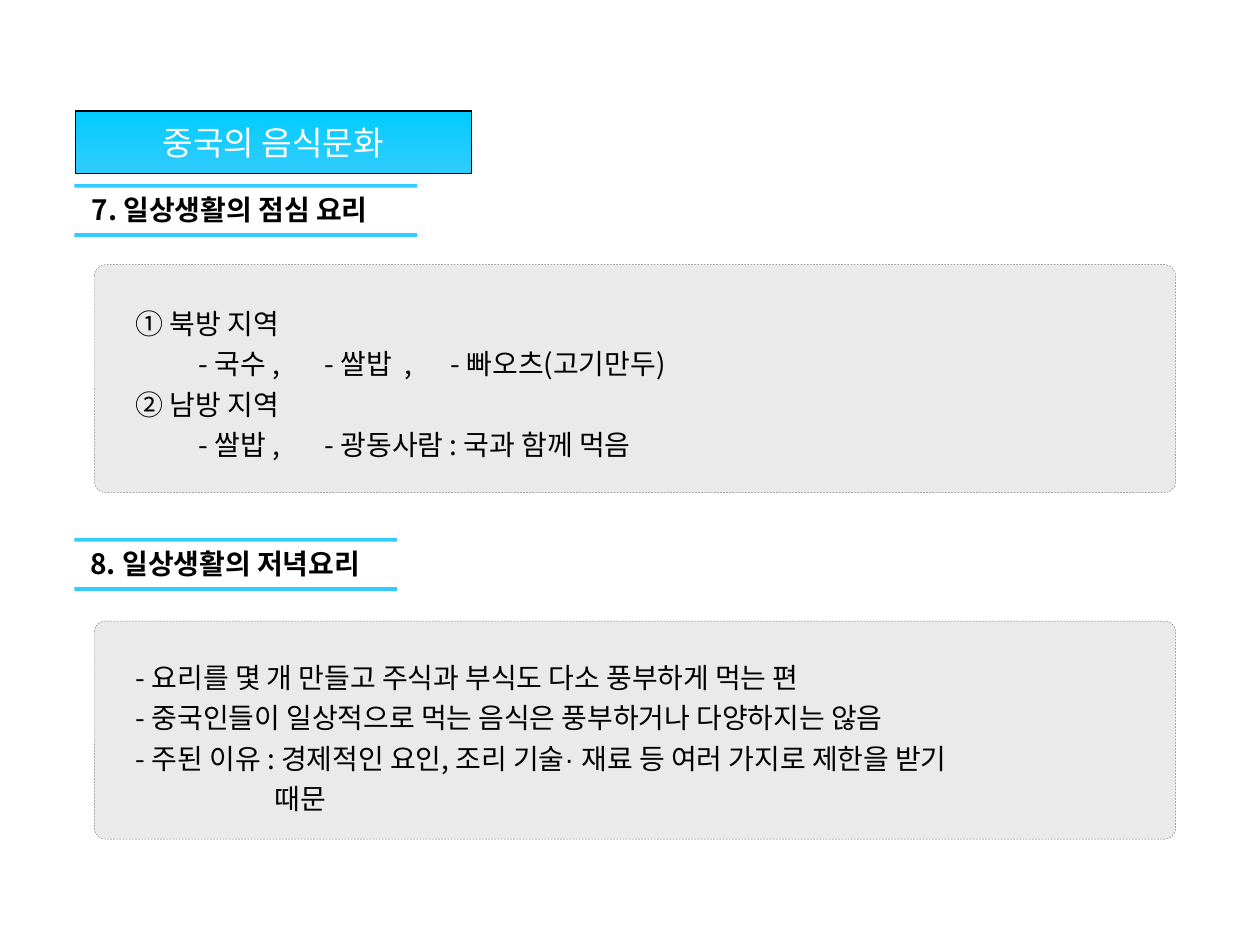
"""Build a slide on everyday lunch and dinner dishes in Chinese food culture."""
from dataclasses import dataclass

import pptx
import pptx.dml.color
import pptx.enum.dml
import pptx.enum.shapes
import pptx.enum.text
import pptx.oxml.ns
import pptx.util
from lxml import etree

SLIDE_W, SLIDE_H = pptx.util.Inches(10), pptx.util.Inches(7.5)
COLS, ROWS = 100, 75
RULE_GAP, RULE_H = 3.9, 0.3
ALIGN = pptx.enum.text.PP_ALIGN
SHAPE = pptx.enum.shapes.MSO_SHAPE


@dataclass(frozen=True)
class Theme:
    font: str = "Noto Sans CJK KR"
    dot_font: str = "Arial"
    text: str = "000000"
    title_text: str = "FFFFFF"
    accent: str = "33CCFF"
    title_top: str = "00CCFF"
    panel: str = "EAEAEA"
    panel_line: str = "808080"
    title_size: float = 19
    body_size: float = 16


@dataclass(frozen=True)
class Box:
    col: float
    row: float
    cols: float
    rows: float

    def emu(self) -> tuple[int, int, int, int]:
        w, h = SLIDE_W / COLS, SLIDE_H / ROWS
        return (round(self.col * w), round(self.row * h),
                round(self.cols * w), round(self.rows * h))


@dataclass(frozen=True)
class Line:
    texts: tuple[str, ...]
    hang: float = 0.29
    tabs: tuple[float, ...] = ()


@dataclass(frozen=True)
class Section:
    heading: str
    heading_box: Box
    rule_row: float
    rule_cols: float
    panel: Box
    body: Box
    align: ALIGN
    lines: tuple[Line, ...]


THEME = Theme()
ITEM_TABS = (0.15, 1.11, 2.13)
SECTIONS = (
    Section("7. 일상생활의 점심 요리", Box(6.3, 14.8, 25.7, 3.7), 14.6, 27.2,
            Box(7.5, 21, 85.8, 18.1), Box(9.8, 23.3, 80.3, 13.8), ALIGN.JUSTIFY,
            (Line(("① 북방 지역",)),
             Line(("\t- 국수 ,\t- 쌀밥  ,\t- 빠오츠(고기만두)",), 0, ITEM_TABS),
             Line(("② 남방 지역",)),
             Line(("\t- 쌀밥 ,\t- 광동사람 : 국과 함께 먹음",), 0, ITEM_TABS))),
    Section("8. 일상생활의 저녁요리", Box(6.2, 42.9, 25, 3.7), 42.7, 25.6,
            Box(7.5, 49.3, 85.8, 17.3), Box(9.8, 51.4, 80.3, 13.8), ALIGN.LEFT,
            (Line(("- 요리를 몇 개 만들고 주식과 부식도 다소 풍부하게 먹는 편",)),
             Line(("- 중국인들이 일상적으로 먹는 음식은 풍부하거나 다양하지는 않음",)),
             Line(("- 주된 이유 : 경제적인 요인, 조리 기술", "· ",
                   "재료 등 여러 가지로 제한을 받기\v때문"), 1.1))),
)


def rgb(value: str) -> pptx.dml.color.RGBColor:
    return pptx.dml.color.RGBColor.from_string(value)


def add_text(p, text: str, *, size: float = THEME.body_size, color: str = THEME.text,
             bold: bool = False, font: str = THEME.font) -> None:
    for i, piece in enumerate(text.split("\v")):
        if i:
            p.add_line_break()
        r = p.add_run()
        r.text = piece
        r.font.size = pptx.util.Pt(size)
        r.font.bold = bold
        r.font.color.rgb = rgb(color)
        r.font.name = font
        ea = etree.SubElement(r.font._element, pptx.oxml.ns.qn("a:ea"))
        ea.set("typeface", THEME.font)


def set_indent(p, line: Line) -> None:
    pPr = p._p.get_or_add_pPr()
    hang = pptx.util.Inches(line.hang)
    pPr.set("marL", str(hang))
    pPr.set("indent", str(-hang))
    if line.tabs:
        tab_list = etree.SubElement(pPr, pptx.oxml.ns.qn("a:tabLst"))
        for stop in line.tabs:
            etree.SubElement(tab_list, pptx.oxml.ns.qn("a:tab"),
                             pos=str(pptx.util.Inches(stop)), algn="l")


def add_block(s, kind: SHAPE, box: Box, fill: str):
    sp = s.shapes.add_shape(kind, *box.emu())
    sp.shadow.inherit = False
    sp.fill.solid()
    sp.fill.fore_color.rgb = rgb(fill)
    sp.line.fill.background()
    return sp


def draw_title(s, text: str, box: Box) -> None:
    sp = s.shapes.title
    sp.left, sp.top, sp.width, sp.height = box.emu()
    sp.fill.gradient()
    sp.fill.gradient_angle = 270
    for stop, color in zip(sp.fill.gradient_stops, (THEME.title_top, THEME.accent)):
        stop.color.rgb = rgb(color)
    sp.line.color.rgb = rgb(THEME.text)
    sp.line.width = pptx.util.Pt(0.75)
    tf = sp.text_frame
    tf.word_wrap = False
    tf.auto_size = pptx.enum.text.MSO_AUTO_SIZE.NONE
    tf.vertical_anchor = pptx.enum.text.MSO_ANCHOR.MIDDLE
    p = tf.paragraphs[0]
    p.alignment = ALIGN.CENTER
    add_text(p, text, size=THEME.title_size, color=THEME.title_text)


def draw_section(s, section: Section) -> None:
    panel = add_block(s, SHAPE.ROUNDED_RECTANGLE, section.panel, THEME.panel)
    panel.adjustments[0] = 0.05
    panel.line.color.rgb = rgb(THEME.panel_line)
    panel.line.width = pptx.util.Pt(0.25)
    panel.line.dash_style = pptx.enum.dml.MSO_LINE.DASH

    for i in range(2):
        row = section.rule_row + i * RULE_GAP
        add_block(s, SHAPE.RECTANGLE, Box(5.9, row, section.rule_cols, RULE_H), THEME.accent)

    tf = s.shapes.add_textbox(*section.heading_box.emu()).text_frame
    tf.word_wrap = False
    add_text(tf.paragraphs[0], section.heading, bold=True)

    tf = s.shapes.add_textbox(*section.body.emu()).text_frame
    tf.word_wrap = True
    for i, line in enumerate(section.lines):
        p = tf.add_paragraph() if i else tf.paragraphs[0]
        set_indent(p, line)
        p.alignment = section.align
        p.line_spacing = 1.2
        for text in line.texts:
            add_text(p, text, font=THEME.dot_font if text == "· " else THEME.font)


def main() -> None:
    prs = pptx.Presentation()
    prs.slide_width, prs.slide_height = SLIDE_W, SLIDE_H
    s = prs.slides.add_slide(prs.slide_layouts[5])
    draw_title(s, "중국의 음식문화", Box(6, 8.8, 31.4, 5))
    for section in SECTIONS:
        draw_section(s, section)
    prs.save("out.pptx")


if __name__ == "__main__":
    main()
